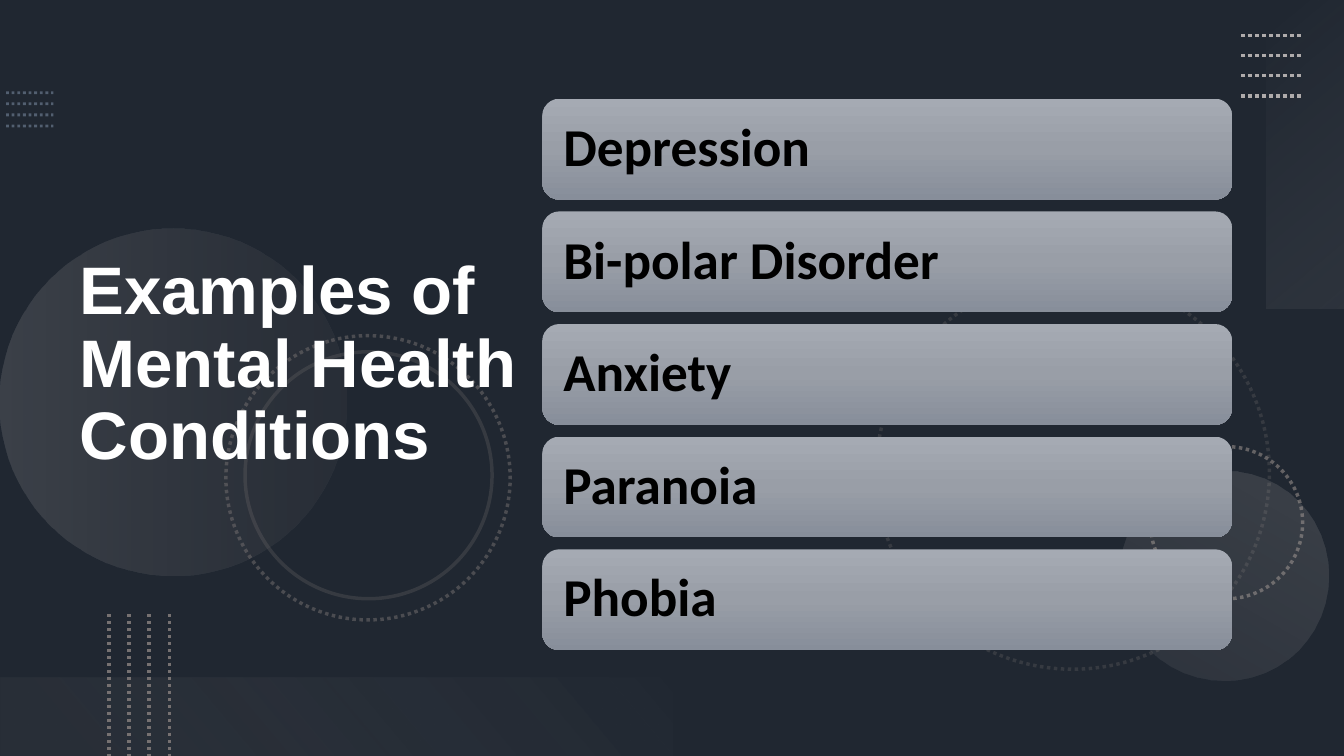
from pptx import Presentation
from pptx.dml.color import RGBColor
from pptx.enum.dml import MSO_LINE
from pptx.enum.shapes import MSO_CONNECTOR, MSO_SHAPE
from pptx.enum.text import MSO_ANCHOR, PP_ALIGN
from pptx.oxml import parse_xml
from pptx.oxml.ns import nsdecls, qn
from pptx.util import Pt
from lxml.etree import SubElement

PX = 9144
WIDTH, HEIGHT = 1333, 750

SLATE = RGBColor(0x44, 0x54, 0x6A)
BLACK = RGBColor(0x00, 0x00, 0x00)
WHITE = RGBColor(0xFF, 0xFF, 0xFF)
BLUE_GRAY = RGBColor(0x84, 0x97, 0xB0)
GRAY = RGBColor(0x76, 0x71, 0x71)
SILVER = RGBColor(0xAF, 0xAB, 0xAB)
MIST = RGBColor(0xF5, 0xF5, 0xF5)
PEARL = RGBColor(0xF1, 0xF0, 0xF0)
CARD_TOP = RGBColor(0xA5, 0xAA, 0xB3)
CARD_MIDDLE = RGBColor(0x99, 0x9E, 0xA7)
CARD_BOTTOM = RGBColor(0x87, 0x8E, 0x9A)

CONDITIONS = ["Depression", "Bi-polar Disorder", "Anxiety", "Paranoia", "Phobia"]


def emu(*lengths):
    return [round(length * PX) for length in lengths]


def set_opacity(parent, percent):
    for color in parent.iter(qn("a:srgbClr")):
        SubElement(color, qn("a:alpha"), val=str(percent * 1000))


def set_gradient(sp, stops, angle):
    gs = "".join(
        f'<a:gs pos="{pos * 1000}"><a:srgbClr val="{color}">'
        f'<a:alpha val="{opacity * 1000}"/></a:srgbClr></a:gs>'
        for pos, color, opacity in stops
    )
    sp.fill.background()
    props = sp.element.spPr
    props.replace(props.find(qn("a:noFill")), parse_xml(
        f'<a:gradFill rotWithShape="1" {nsdecls("a")}><a:gsLst>{gs}</a:gsLst>'
        f'<a:lin ang="{angle * 60000}" scaled="0"/></a:gradFill>'))


def set_line(line, color, width, dotted=True, opacity=100):
    line.color.rgb = color
    line.width = Pt(width)
    if dotted:
        line.dash_style = MSO_LINE.ROUND_DOT
    if opacity < 100:
        set_opacity(line._ln, opacity)


def add_plain_shape(s, kind, box, rotation=0):
    sp = s.shapes.add_shape(kind, *emu(*box))
    sp.rotation = rotation
    sp.shadow.inherit = False
    sp.fill.background()
    sp.line.fill.background()
    return sp


def add_gradient_shape(s, kind, box, rotation, stops, angle):
    sp = add_plain_shape(s, kind, box, rotation)
    set_gradient(sp, stops, angle)
    return sp


def add_ring(s, box, rotation, dotted, opacity):
    sp = add_plain_shape(s, MSO_SHAPE.OVAL, box, rotation)
    set_line(sp.line, GRAY, 2.5, dotted, opacity)


def add_dotted_lines(s, box, color, width, vertical=False, opacity=100, count=4):
    x, y, w, h = box
    for i in range(count):
        if vertical:
            left = x + w * i / (count - 1)
            ends = left, y, left, y + h
        else:
            top = y + h * i / (count - 1)
            ends = x, top, x + w, top
        line = s.shapes.add_connector(MSO_CONNECTOR.STRAIGHT, *emu(*ends))
        set_line(line.line, color, width, opacity=opacity)
        SubElement(line.element.spPr, qn("a:effectLst"))


def add_backdrop(s, box):
    s.background.fill.solid()
    s.background.fill.fore_color.rgb = SLATE
    shade = add_plain_shape(s, MSO_SHAPE.RECTANGLE, box)
    shade.fill.solid()
    shade.fill.fore_color.rgb = BLACK
    set_opacity(shade.element.spPr, 53)


def add_decoration(s, box):
    x, y, w, h = box
    right, bottom = x + w, y + h
    add_dotted_lines(s, (x + 6, y + 92, 47, 33), BLUE_GRAY, 2, opacity=50)
    add_ring(s, (right - 464, y + 274, 390, 390), 75, True, 25)
    add_ring(s, (right - 192, y + 443, 151, 151), 270, True, 80)
    add_gradient_shape(s, MSO_SHAPE.OVAL, (x, y + 227, 344, 344), 270,
                       [(0, SILVER, 20), (100, GRAY, 10)], 90)
    add_gradient_shape(s, MSO_SHAPE.OVAL, (right - 223, y + 467, 208, 208), 210,
                       [(0, SILVER, 10), (100, SILVER, 20)], 90)
    add_ring(s, (x + 224, y + 333, 282, 282), 75, True, 50)
    add_ring(s, (x + 243, y + 349, 245, 245), 75, False, 25)
    add_gradient_shape(s, MSO_SHAPE.RECTANGLE, (right - 191, y + 114, 306, 78), 270,
                       [(0, MIST, 0), (100, SILVER, 10)], 140)
    add_dotted_lines(s, (right - 102, y + 35, 60, 60), SILVER, 2.5)
    add_gradient_shape(s, MSO_SHAPE.RECTANGLE, (x, bottom - 78, 667, 78), 180,
                       [(10, GRAY, 10), (100, PEARL, 0)], 140)
    add_dotted_lines(s, (x + 108, bottom - 141, 60, 141), GRAY, 2.5, vertical=True)


def set_text(tf, text, font, size, color):
    tf.word_wrap = True
    tf.vertical_anchor = MSO_ANCHOR.MIDDLE
    tf.text = text
    p = tf.paragraphs[0]
    p.alignment = PP_ALIGN.LEFT
    p.line_spacing = 0.9
    r = p.runs[0]
    r.font.name = font
    r.font.size = Pt(size)
    r.font.bold = True
    r.font.color.rgb = color


def add_title(s, box, text):
    tf = s.shapes.add_textbox(*emu(*box)).text_frame
    set_text(tf, text, "Arial", 48, WHITE)


def add_condition_cards(s, box, conditions, card_height=100, inset=16):
    x, y, w, h = box
    pitch = (h - card_height) / (len(conditions) - 1)
    stops = [(0, CARD_TOP, 100), (50, CARD_MIDDLE, 100), (100, CARD_BOTTOM, 100)]
    for i, condition in enumerate(conditions):
        card = add_gradient_shape(s, MSO_SHAPE.ROUNDED_RECTANGLE,
                                  (x, y + i * pitch, w, card_height), 0, stops, 90)
        tf = card.text_frame
        tf.margin_left, tf.margin_right = emu(inset, inset)
        tf.margin_top, tf.margin_bottom = emu(inset, inset)
        set_text(tf, condition, "Calibri", 38, BLACK)


def main():
    prs = Presentation()
    prs.slide_width, prs.slide_height = emu(WIDTH, HEIGHT)
    s = prs.slides.add_slide(prs.slide_layouts[6])
    slide_box = (0, 0, WIDTH, HEIGHT)
    add_backdrop(s, slide_box)
    add_decoration(s, slide_box)
    add_title(s, (69, 54, 459, 617), "Examples of Mental Health Conditions")
    add_condition_cards(s, (538, 98, 684, 547), CONDITIONS)
    prs.save("out.pptx")


if __name__ == "__main__":
    main()
